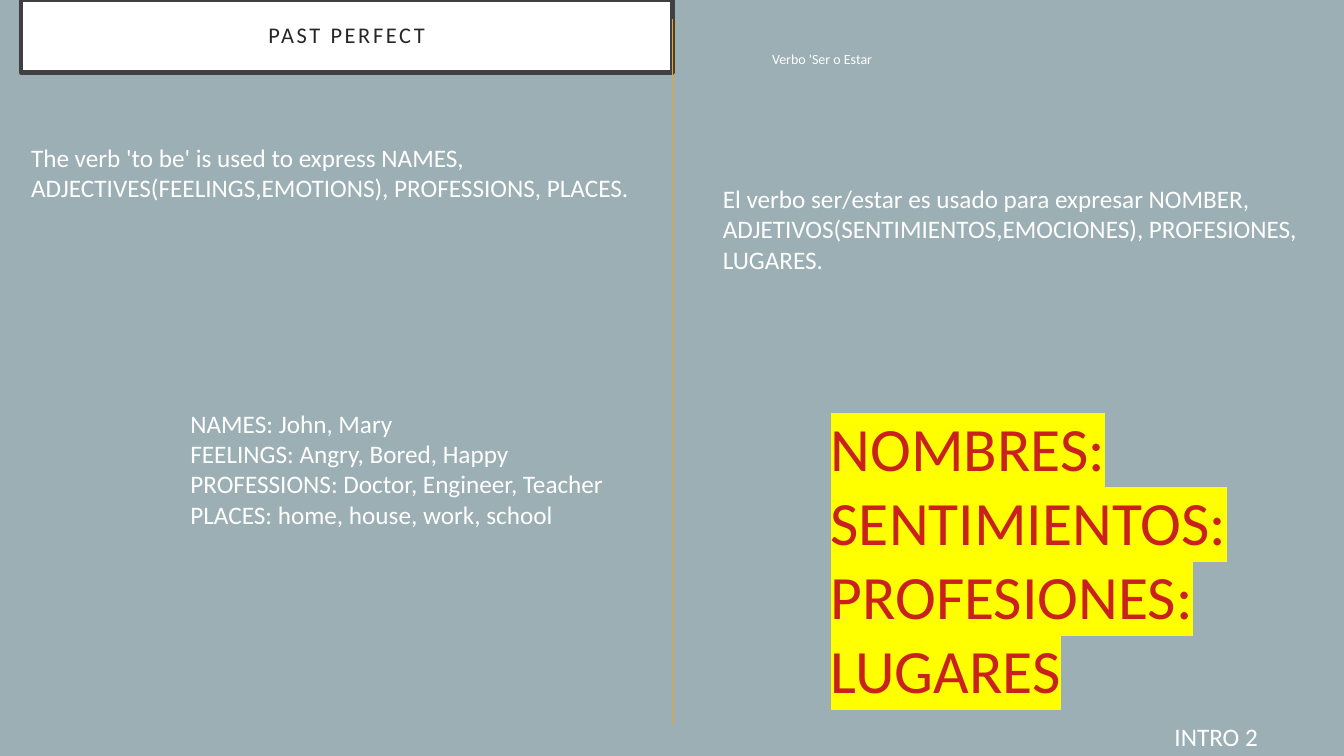
import dataclasses

import lxml.etree
import pptx
import pptx.dml.color
import pptx.enum.shapes
import pptx.enum.text
import pptx.oxml.ns
import pptx.util

Inches = pptx.util.Inches
Pt = pptx.util.Pt
RGBColor = pptx.dml.color.RGBColor
Anchor = pptx.enum.text.MSO_ANCHOR
qn = pptx.oxml.ns.qn

BACKGROUND = RGBColor(0x9B, 0xAF, 0xB5)
WHITE = RGBColor(0xFF, 0xFF, 0xFF)
TITLE_INK = RGBColor(0x26, 0x26, 0x26)
TITLE_BORDER = RGBColor(0x40, 0x40, 0x40)
DIVIDER = RGBColor(0xF5, 0x9F, 0x17)
RED = RGBColor(0xC9, 0x21, 0x1E)
YELLOW = RGBColor(0xFF, 0xFF, 0x00)
FONT = "Calibri"


@dataclasses.dataclass(frozen=True)
class Note:
    lines: tuple[str, ...]
    left: float
    top: float
    width: float
    height: float = 0.4
    size: int = 18
    color: RGBColor = WHITE
    highlight: RGBColor | None = None
    anchor: Anchor = Anchor.TOP
    grows: bool = True


FOOTER = Note(("INTRO 2",), 11.55, 7.11, 2.69)
ENGLISH_RULE = Note(
    ("The verb 'to be' is used to express NAMES, "
     "ADJECTIVES(FEELINGS,EMOTIONS), PROFESSIONS, PLACES.",),
    0.21, 1.36, 6.46)
ENGLISH_EXAMPLES = Note(
    ("NAMES: John, Mary",
     "FEELINGS: Angry, Bored, Happy",
     "PROFESSIONS: Doctor, Engineer, Teacher",
     "PLACES: home, house, work, school"),
    1.79, 4, 4.33)
SPANISH_HEADING = Note(("Verbo 'Ser o Estar",), 7.56, 0, 3.86, 0.72,
                       size=10, anchor=Anchor.BOTTOM, grows=False)
SPANISH_RULE = Note(
    ("El verbo ser/estar es usado para expresar NOMBER, "
     "ADJETIVOS(SENTIMIENTOS,EMOCIONES), PROFESIONES, LUGARES.",),
    7.07, 1.77, 6.11)
SPANISH_EXAMPLES = Note(
    ("NOMBRES:", "SENTIMIENTOS:", "PROFESIONES:", "LUGARES"),
    8.14, 4.02, 5.12, 0.83, size=44, color=RED, highlight=YELLOW)


def add_span(para, text: str, size: int, color: RGBColor):
    span = para.add_run()
    span.text = text
    span.font.name = FONT
    span.font.size = Pt(size)
    span.font.color.rgb = color
    return span


def highlight_span(span, color: RGBColor) -> None:
    highlight = lxml.etree.Element(qn("a:highlight"))
    lxml.etree.SubElement(highlight, qn("a:srgbClr"), val=str(color))
    span.font._element.find(qn("a:solidFill")).addnext(highlight)


def add_note(page, note: Note) -> None:
    box = page.shapes.add_textbox(Inches(note.left), Inches(note.top),
                                  Inches(note.width), Inches(note.height))
    frame = box.text_frame
    frame.word_wrap = True
    frame.vertical_anchor = note.anchor
    if note.grows:
        frame.auto_size = pptx.enum.text.MSO_AUTO_SIZE.SHAPE_TO_FIT_TEXT
    para = frame.paragraphs[0]
    for index, line in enumerate(note.lines):
        if index:
            para.add_line_break()
        span = add_span(para, line, note.size, note.color)
        if note.highlight is not None:
            highlight_span(span, note.highlight)


def add_title(page) -> None:
    box = page.shapes.add_shape(pptx.enum.shapes.MSO_SHAPE.RECTANGLE,
                                Inches(0.21), Inches(0), Inches(6.46), Inches(0.72))
    box.shadow.inherit = False
    box.fill.solid()
    box.fill.fore_color.rgb = WHITE
    box.line.color.rgb = TITLE_BORDER
    box.line.width = Pt(3)
    frame = box.text_frame
    frame.word_wrap = True
    frame.vertical_anchor = Anchor.MIDDLE
    frame.margin_left = frame.margin_right = Inches(0.3)
    frame.margin_top = frame.margin_bottom = Inches(0.2)
    para = frame.paragraphs[0]
    para.alignment = pptx.enum.text.PP_ALIGN.CENTER
    para.line_spacing = 0.9
    span = add_span(para, "PAST PERFECT", 16, TITLE_INK)
    span.font._element.set("spc", "190")


def add_divider(page) -> None:
    line = page.shapes.add_connector(pptx.enum.shapes.MSO_CONNECTOR.STRAIGHT,
                                     Inches(6.67), Inches(0.19),
                                     Inches(6.67), Inches(7.18))
    line.line.color.rgb = DIVIDER
    line.line.width = Pt(0.75)
    lxml.etree.SubElement(line._element.spPr, qn("a:effectLst"))


def main() -> None:
    deck = pptx.Presentation()
    deck.slide_width = Inches(13.33)
    deck.slide_height = Inches(7.5)
    page = deck.slides.add_slide(deck.slide_layouts[6])
    page.background.fill.solid()
    page.background.fill.fore_color.rgb = BACKGROUND

    # English half, with the footer
    add_title(page)
    for note in (FOOTER, ENGLISH_RULE):
        add_note(page, note)
    add_divider(page)
    add_note(page, ENGLISH_EXAMPLES)

    # Spanish half
    for note in (SPANISH_HEADING, SPANISH_RULE, SPANISH_EXAMPLES):
        add_note(page, note)

    deck.save("out.pptx")


if __name__ == "__main__":
    main()
